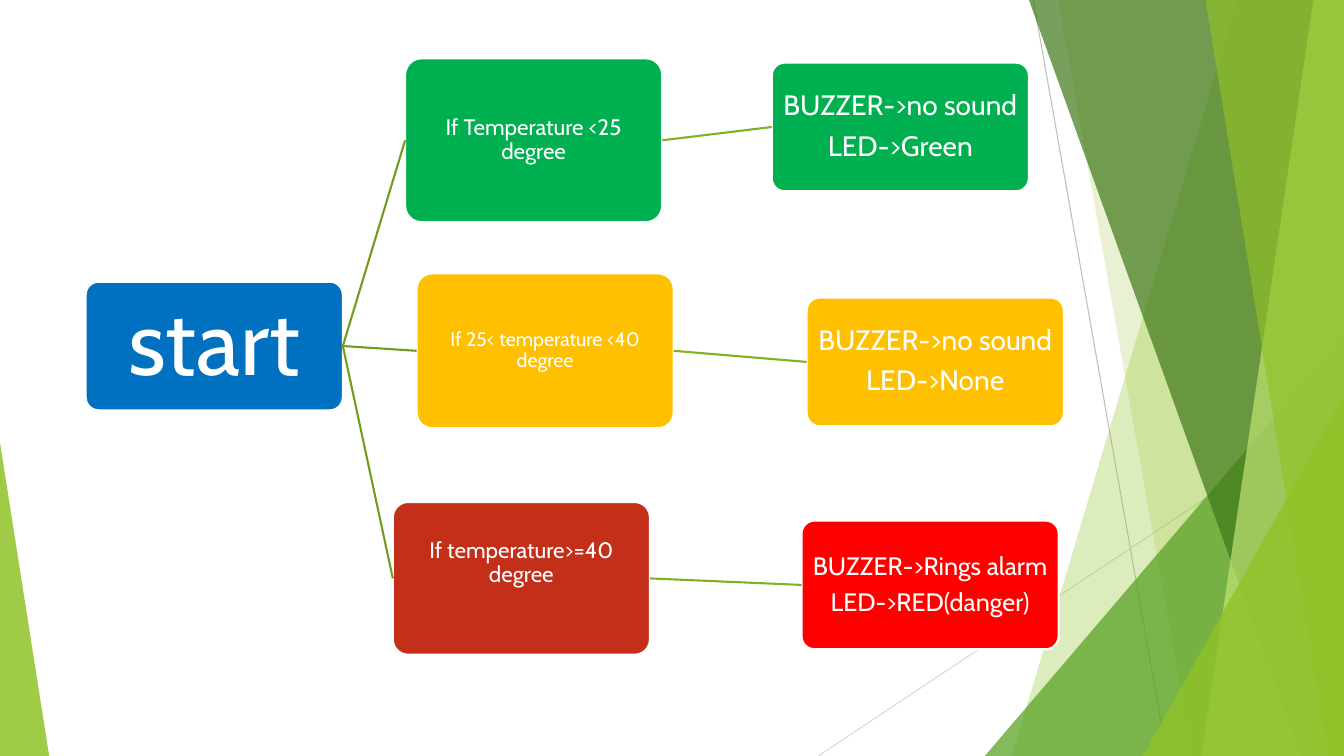
import pptx
import pptx.dml.color
import pptx.enum.shapes
import pptx.enum.text
import pptx.oxml
import pptx.oxml.ns
import pptx.util
from dataclasses import dataclass

Cm = pptx.util.Cm
Pt = pptx.util.Pt
SHAPES = pptx.enum.shapes.MSO_SHAPE


@dataclass(frozen=True)
class Theme:
    font: str = "Cabin"
    white: str = "FFFFFF"
    blue: str = "0070C0"
    green: str = "00B050"
    amber: str = "FFC000"
    brick: str = "C42F1A"
    red: str = "FF0000"
    lime: str = "90C226"
    pale_lime: str = "C0E474"
    leaf: str = "54A021"
    forest: str = "3F7819"
    first_link: str = "739B1E"
    second_link: str = "83B022"
    grey: str = "BFBFBF"
    light_grey: str = "D9D9D9"
    title: int = 65
    large: int = 20
    medium: int = 18
    body: int = 16
    small: int = 14


class FlowSlide:
    width, height = 33.87, 19.05
    box_width, box_height = 6.48, 3.24

    def __init__(self, prs, theme):
        self.theme = theme
        self.slide = prs.slides.add_slide(prs.slide_layouts[6])

    def paint(self, sp, color, opacity=100):
        """Fill a shape, with opacity in percent, and drop its outline."""
        sp.shadow.inherit = False
        sp.fill.solid()
        sp.fill.fore_color.rgb = pptx.dml.color.RGBColor.from_string(color)
        sp.line.fill.background()
        if opacity < 100:
            clr = sp.fill._xPr.find(".//" + pptx.oxml.ns.qn("a:srgbClr"))
            alpha = pptx.oxml.parse_xml(
                f'<a:alpha {pptx.oxml.ns.nsdecls("a")} val="{opacity * 1000}"/>')
            clr.append(alpha)

    def line(self, x1, y1, x2, y2, color, weight):
        sp = self.slide.shapes.add_connector(
            pptx.enum.shapes.MSO_CONNECTOR.STRAIGHT, Cm(x1), Cm(y1), Cm(x2), Cm(y2))
        sp.line.color.rgb = pptx.dml.color.RGBColor.from_string(color)
        sp.line.width = Pt(weight)
        sp._element.spPr.append(pptx.oxml.parse_xml(
            f'<a:effectLst {pptx.oxml.ns.nsdecls("a")}/>'))

    def band(self, top_x, bottom_x, color, opacity):
        """Full-height band from a slanted left side to the right slide edge."""
        builder = self.slide.shapes.build_freeform(Cm(top_x), 0, scale=1.0)
        builder.add_line_segments([
            (Cm(self.width), 0),
            (Cm(self.width), Cm(self.height)),
            (Cm(bottom_x), Cm(self.height)),
        ], close=True)
        self.paint(builder.convert_to_shape(), color, opacity)

    def corner(self, x, y, w, apex, color, opacity):
        """Triangle that stands on the bottom slide edge."""
        sp = self.slide.shapes.add_shape(
            SHAPES.ISOSCELES_TRIANGLE, Cm(x), Cm(y), Cm(w), Cm(self.height - y))
        sp.adjustments[0] = apex
        self.paint(sp, color, opacity)

    def box(self, x, y, text, size, color, h=box_height, inset=0.03, lift=0):
        """Rounded box; lift is extra bottom inset. Returns its (x, middle y)."""
        sp = self.slide.shapes.add_shape(
            SHAPES.ROUNDED_RECTANGLE, Cm(x), Cm(y), Cm(self.box_width), Cm(h))
        sp.adjustments[0] = 0.1
        self.paint(sp, color)
        sp.line.color.rgb = pptx.dml.color.RGBColor.from_string(self.theme.white)
        sp.line.width = Pt(1.5)
        tf = sp.text_frame
        tf.word_wrap = True
        tf.vertical_anchor = pptx.enum.text.MSO_ANCHOR.MIDDLE
        tf.margin_left = tf.margin_right = tf.margin_top = Cm(inset)
        tf.margin_bottom = Cm(inset + lift)
        tf.text = text
        for p in tf.paragraphs:
            p.alignment = pptx.enum.text.PP_ALIGN.CENTER
            p.line_spacing = 0.9
            p.space_after = Pt(0.35 * size)
            for r in p.runs:
                r.font.name = self.theme.font
                r.font.size = Pt(size)
                r.font.color.rgb = pptx.dml.color.RGBColor.from_string(self.theme.white)
        return x, y + h / 2

    def link(self, source, target, color):
        """Join the right side of one box to the left side of another."""
        self.line(source[0] + self.box_width, source[1], *target, color, 1.5)


def main():
    prs = pptx.Presentation()
    prs.slide_width = Cm(FlowSlide.width)
    prs.slide_height = Cm(FlowSlide.height)
    t = Theme()
    s = FlowSlide(prs, t)

    # Background decoration
    s.line(26.04, 0, 29.41, s.height, t.grey, 0.75)
    s.line(s.width, 10.24, 20.62, s.height, t.light_grey, 0.75)
    s.band(31.19, 25.5, t.lime, 30)
    s.band(26.67, 30.05, t.lime, 20)
    s.corner(24.82, 8.46, 9.05, 1, t.leaf, 72)
    s.band(25.93, 32.79, t.forest, 70)
    s.band(33.1, 30.28, t.pale_lime, 70)
    s.band(30.38, 33.48, t.lime, 65)
    s.corner(28.8, 9.98, 5.07, 1, t.lime, 80)
    s.corner(0, 11.15, 1.24, 0, t.lime, 85)

    # Start box
    start = s.box(2.16, 7.1, "start", t.title, t.blue, inset=0.13)

    # Branches: condition box, then result box
    branches = [
        (dict(x=10.21, y=1.47, h=4.13, text="If Temperature <25 degree",
              size=t.body, color=t.green),
         dict(x=19.45, y=1.58, text="BUZZER->no sound\nLED->Green",
              size=t.large, color=t.green)),
        (dict(x=10.5, y=6.89, h=3.9, text="If 25< temperature <40 degree",
              size=t.small, color=t.amber),
         dict(x=20.33, y=7.5, text="BUZZER->no sound\nLED->None",
              size=t.large, color=t.amber)),
        (dict(x=9.9, y=12.65, h=3.85, text="If temperature>=40 degree",
              size=t.body, color=t.brick, lift=0.75),
         dict(x=20.2, y=13.12, text="BUZZER->Rings alarm\nLED->RED(danger)",
              size=t.medium, color=t.red)),
    ]
    for condition, result in branches:
        check = s.box(**condition)
        outcome = s.box(**result)
        s.link(start, check, t.first_link)
        s.link(check, outcome, t.second_link)

    prs.save("out.pptx")


if __name__ == "__main__":
    main()
